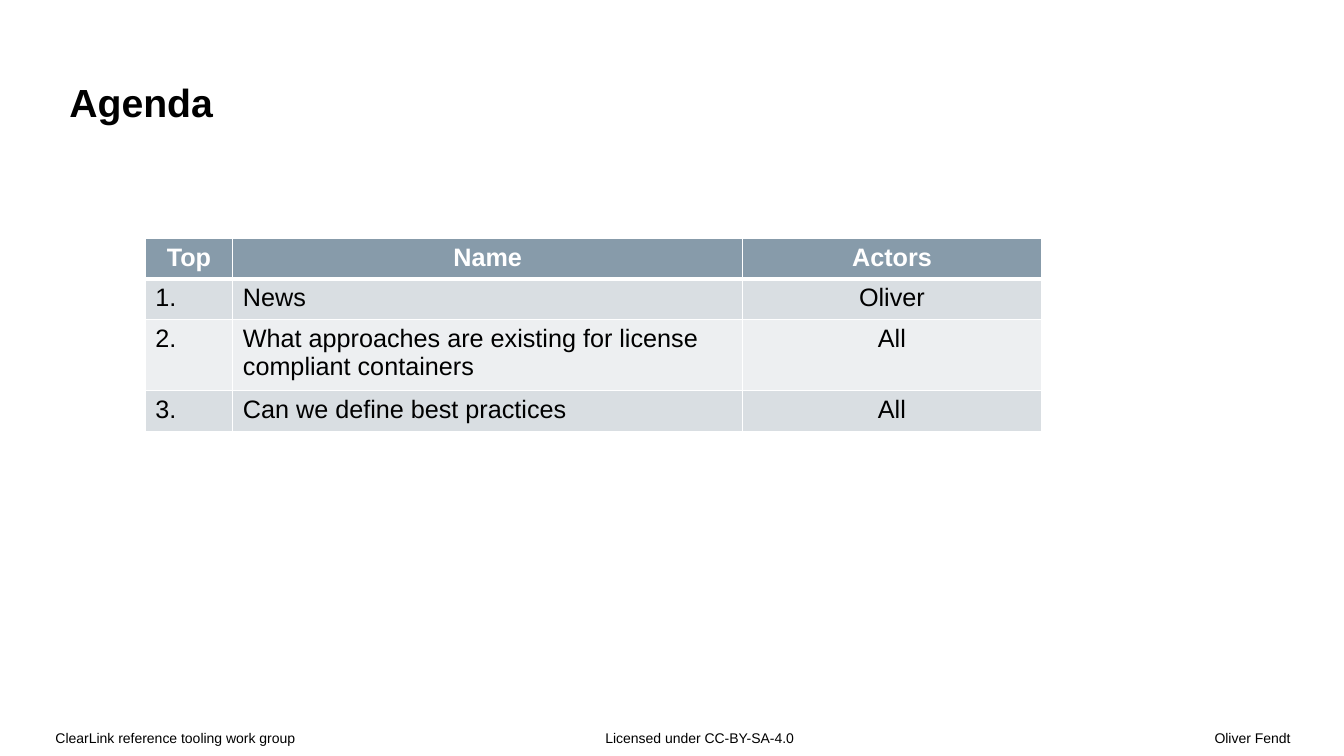
from dataclasses import dataclass

from lxml import etree
from pptx import Presentation
from pptx.dml.color import RGBColor
from pptx.enum.text import MSO_ANCHOR, PP_ALIGN
from pptx.oxml.ns import qn
from pptx.slide import Slide
from pptx.table import _Cell
from pptx.text.text import _Paragraph
from pptx.util import Cm, Pt

LEFT, MID, RIGHT = PP_ALIGN.LEFT, PP_ALIGN.CENTER, PP_ALIGN.RIGHT
TOP, BOTTOM = MSO_ANCHOR.TOP, MSO_ANCHOR.BOTTOM

BLACK = RGBColor(0x00, 0x00, 0x00)
WHITE = RGBColor(0xFF, 0xFF, 0xFF)
SLATE = RGBColor(0x87, 0x9B, 0xAA)
GREY = RGBColor(0xD9, 0xDE, 0xE2)
PALE = RGBColor(0xED, 0xEF, 0xF1)

FONT = "Arial"
WIDTH, HEIGHT = 33.88, 19.05
FOOT_TOP, FOOT_TALL = 18.34, 0.71
THIN, THICK = 1, 3


@dataclass
class Label:
    """A text box; lengths in centimetres, pads as left, top, right, bottom."""
    text: str
    box: tuple[float, float, float, float]
    pads: tuple[float, float, float, float]
    size: int = 10
    bold: bool = False
    align: PP_ALIGN = LEFT
    anchor: MSO_ANCHOR = TOP
    space: float = 1.1


LABELS = [
    Label("ClearLink reference tooling work group",
          (0.79, FOOT_TOP, 8.64, FOOT_TALL), (0.61, 0, 0, 0.33)),
    Label("Licensed under CC-BY-SA-4.0",
          (13.51, FOOT_TOP, 7.65, FOOT_TALL), (1.75, 0, 0, 0.33)),
    Label("Oliver Fendt",
          (10.52, FOOT_TOP, 23.36, FOOT_TALL), (0, 0, 1.35, 0.33), align=RIGHT),
    Label("Agenda", (0, 0, WIDTH, 3.53), (1.75, 1.09, 5.89, 0.66),
          size=28, bold=True, anchor=BOTTOM, space=1.0),
]

HEAD = ("Top", "Name", "Actors")
TOPICS = [
    ("1.", "News", "Oliver"),
    ("2.", "What approaches are existing for license compliant containers", "All"),
    ("3.", "Can we define best practices", "All"),
]
ALIGNS = (LEFT, LEFT, MID)
COLS = (2.21, 12.85, 7.53)
ROWS = (1.03, 1.03, 1.68, 1.03)


def add_run(para: _Paragraph, text: str, size: int, color: RGBColor, bold: bool) -> None:
    run = para.add_run()
    run.text = text
    run.font.name = FONT
    run.font.size = Pt(size)
    run.font.bold = bold
    run.font.color.rgb = color


def add_label(slide: Slide, label: Label) -> None:
    frame = slide.shapes.add_textbox(*map(Cm, label.box)).text_frame
    frame.word_wrap = True
    frame.vertical_anchor = label.anchor
    (frame.margin_left, frame.margin_top,
     frame.margin_right, frame.margin_bottom) = map(Cm, label.pads)
    para = frame.paragraphs[0]
    para.alignment = label.align
    para.line_spacing = label.space
    add_run(para, label.text, label.size, BLACK, label.bold)


def add_edges(cell: _Cell, top: int, bottom: int) -> None:
    """Draw white cell borders; widths in points."""
    props = cell._tc.get_or_add_tcPr()
    for side, width in (("L", THIN), ("R", THIN), ("T", top), ("B", bottom)):
        line = etree.SubElement(props, qn(f"a:ln{side}"), w=str(Pt(width)))
        fill = etree.SubElement(line, qn("a:solidFill"))
        etree.SubElement(fill, qn("a:srgbClr"), val=str(WHITE))


def add_agenda(slide: Slide) -> None:
    shape = slide.shapes.add_table(len(ROWS), len(COLS), Cm(3.66), Cm(6),
                                   Cm(sum(COLS)), Cm(sum(ROWS)))
    table = shape.table
    for col, width in zip(table.columns, COLS):
        col.width = Cm(width)
    for row, height in zip(table.rows, ROWS):
        row.height = Cm(height)
    for r, texts in enumerate([HEAD, *TOPICS]):
        head = r == 0
        shade = SLATE if head else GREY if r % 2 else PALE
        for c, text in enumerate(texts):
            cell = table.cell(r, c)
            add_edges(cell, THICK if r == 1 else THIN, THICK if head else THIN)
            cell.fill.solid()
            cell.fill.fore_color.rgb = shade
            para = cell.text_frame.paragraphs[0]
            para.alignment = MID if head else ALIGNS[c]
            add_run(para, text, 18, WHITE if head else BLACK, head)


def main() -> None:
    deck = Presentation()
    deck.slide_width, deck.slide_height = Cm(WIDTH), Cm(HEIGHT)
    slide = deck.slides.add_slide(deck.slide_layouts[6])
    for label in LABELS:
        add_label(slide, label)
    add_agenda(slide)
    deck.save("out.pptx")


if __name__ == "__main__":
    main()
